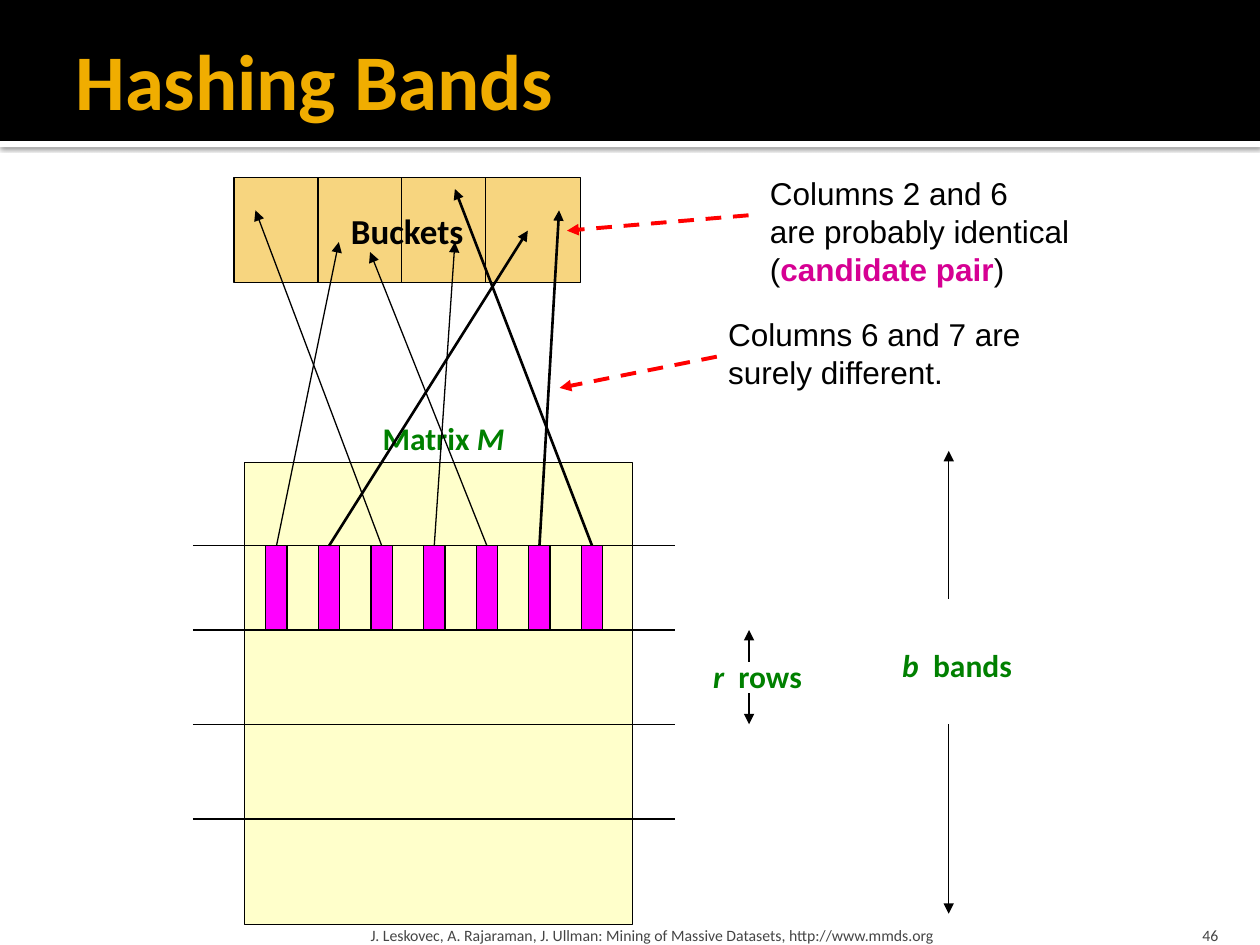
import pptx
import pptx.dml.color
import pptx.enum.dml
import pptx.enum.shapes
import pptx.enum.text
import pptx.oxml
import pptx.oxml.ns
import pptx.util

Cm, Pt = pptx.util.Cm, pptx.util.Pt
ALIGN = pptx.enum.text.PP_ALIGN
ANCHOR = pptx.enum.text.MSO_ANCHOR
BLACK, WHITE, GOLD, GREEN = "000000", "FFFFFF", "F0AD00", "008000"
PINK, RED, ROSE, GREY = "FF00FF", "FF0000", "D60093", "454545"
CREAM = "FFFF99"


def color(code):
    return pptx.dml.color.RGBColor.from_string(code)


def node(text):
    """Parse one DrawingML element."""
    head, rest = text.split(" ", 1)
    return pptx.oxml.parse_xml(f"{head} {pptx.oxml.ns.nsdecls('a')} {rest}")


def style(run, code, bold=False, italic=False):
    run.font.color.rgb = color(code)
    run.font.bold, run.font.italic = bold, italic


def write(frame, lines, size, font="Calibri", align=ALIGN.LEFT, pitch=None):
    """Fill a frame; each line is a list of (text, colour, bold, italic) runs."""
    for i, line in enumerate(lines):
        para = frame.add_paragraph() if i else frame.paragraphs[0]
        para.alignment = align
        if pitch:
            para.line_spacing = Pt(pitch)
        for text, *look in line:
            run = para.add_run()
            run.text = text
            run.font.size, run.font.name = Pt(size), font
            style(run, *look)


def inset(frame, left, top, right, bottom):
    frame.margin_left, frame.margin_top = Cm(left), Cm(top)
    frame.margin_right, frame.margin_bottom = Cm(right), Cm(bottom)


def label(slide, box, lines, size, wrap=False, **look):
    frame = slide.shapes.add_textbox(*map(Cm, box)).text_frame
    frame.word_wrap = wrap
    write(frame, lines, size, **look)
    return frame


def block(slide, box, code, alpha=None, edge=True):
    kind = pptx.enum.shapes.MSO_SHAPE.RECTANGLE
    rect = slide.shapes.add_shape(kind, *map(Cm, box))
    rect.shadow.inherit = False
    rect.fill.solid()
    rect.fill.fore_color.rgb = color(code)
    if alpha:
        fill = rect.element.spPr.find(".//" + pptx.oxml.ns.qn("a:srgbClr"))
        fill.append(node(f'<a:alpha val="{alpha * 1000}"/>'))
    if edge:
        rect.line.color.rgb = color(BLACK)
        rect.line.width = Pt(0.75)
    else:
        rect.line.fill.background()
    return rect


def stroke(slide, start, end, width=0.75, code=BLACK, head=False, dash=False):
    kind = pptx.enum.shapes.MSO_CONNECTOR.STRAIGHT
    line = slide.shapes.add_connector(kind, *map(Cm, (*start, *end)))
    line.line.color.rgb = color(code)
    line.line.width = Pt(width)
    if dash:
        line.line.dash_style = pptx.enum.dml.MSO_LINE.DASH
    props = line.element.spPr
    if head:
        props.get_or_add_ln().append(node('<a:tailEnd type="triangle"/>'))
    props.append(node("<a:effectLst />"))
    return line


def header(slide, box, text):
    left, top, width, height = box
    strip = block(slide, (left, top + height, width, 0.13), WHITE, edge=False)
    effect = strip.element.spPr.find(pptx.oxml.ns.qn("a:effectLst"))
    effect.append(node(
        '<a:outerShdw blurRad="31750" dist="10160" dir="5400000">'
        '<a:srgbClr val="000000"><a:alpha val="60000"/></a:srgbClr>'
        '</a:outerShdw>'))
    block(slide, box, BLACK, edge=False)
    title = slide.shapes.title
    title.left, title.top = Cm(left + 1.27), Cm(top + 0.43)
    title.width, title.height = Cm(width - 2.54), Cm(2.34)
    title.element.getparent().append(title.element)  # in front of the band
    frame = title.text_frame
    frame.auto_size = pptx.enum.text.MSO_AUTO_SIZE.NONE
    frame.vertical_anchor = ANCHOR.MIDDLE
    inset(frame, 0.25, 0.13, 0.13, 0.13)
    write(frame, [[(text, GOLD, True)]], 45)


def matrix(slide, box):
    """Draw the matrix and return its seven column bars."""
    left, top, width, height = box
    block(slide, box, CREAM, 50)
    label(slide, (left + 2.51, top - 0.99, 3, 1.02),
          [[("Matrix ", GREEN, True), ("M", GREEN, True, True)]], 18,
          align=ALIGN.CENTER)
    for y in (1.68, 3.38, 5.28, 7.19):
        stroke(slide, (left - 1.04, top + y), (left + width + 0.86, top + y))
    return [block(slide, (left + 0.43 + 1.06 * i, top + 1.68, 0.43, 1.7), PINK)
            for i in range(7)]


def buckets(slide, box):
    left, top, width, height = box
    frame = block(slide, box, GOLD, 50).text_frame
    frame.word_wrap = False
    frame.vertical_anchor = ANCHOR.MIDDLE
    write(frame, [[("Buckets", BLACK, True)]], 20, align=ALIGN.CENTER)
    for i in range(1, 4):
        x = left + 1.69 * i
        stroke(slide, (x, top), (x, top + height))


def hashes(slide, box, bars):
    """Lead each bar to its spot in the bucket box."""
    spots = [(2.11, 1.3), (5.92, 1.07), (0.43, 0.66), (4.45, 1.3),
             (2.74, 1.5), (6.55, 0.66), (4.45, 0.23)]
    heavy = (1, 5, 6)
    for i, (bar, (x, y)) in enumerate(zip(bars, spots)):
        end = (box[0] + x, box[1] + y)
        line = stroke(slide, end, end, 1.5 if i in heavy else 0.75, head=True)
        line.begin_connect(bar, 0)


def span(slide, box, upper, middle, lower, letter, word):
    """Mark a height with a label between two outward arrows."""
    left, top, width, height = box
    x = left + width / 2 - 0.17
    stroke(slide, (x, top + upper), (x, top), head=True)
    stroke(slide, (x, top + lower), (x, top + height), head=True)
    label(slide, (left, top + middle, width, 1.02),
          [[(letter + " ", GREEN, True, True), (" " + word, GREEN, True)]], 18,
          align=ALIGN.CENTER)


def note(slide, box, lines, start, end):
    left, top = box[:2]
    label(slide, box, lines, 18, font="Arial", pitch=21.8)
    stroke(slide, (left + start[0], top + start[1]),
           (left + end[0], top + end[1]), 2.25, RED, head=True, dash=True)


def footer(slide, box, source, number):
    left, top, width, height = box
    parts = [(left, 15.29, source, ALIGN.LEFT, 0.13),
             (left + width - 2.03, 2.03, number, ALIGN.RIGHT, 0.25)]
    for x, wide, text, align, side in parts:
        frame = label(slide, (x, top, wide, height), [[(text, GREY)]], 9,
                      wrap=True, align=align)
        frame.vertical_anchor = ANCHOR.BOTTOM
        inset(frame, side, 0.13, side, 0)


def main():
    deck = pptx.Presentation()
    deck.slide_width, deck.slide_height = Cm(25.4), Cm(19.05)
    slide = deck.slides.add_slide(deck.slide_layouts[5])
    header(slide, (0, 0, 25.4, 2.84), "Hashing Bands")
    bars = matrix(slide, (4.93, 9.32, 7.82, 9.32))
    span(slide, (14.1, 12.7, 2.34, 1.9), 0.64, 0.43, 1.27, "r", "rows")
    span(slide, (17.91, 9.09, 2.77, 9.33), 2.98, 3.81, 5.51, "b", "bands")
    bins = (4.72, 3.58, 6.98, 2.12)
    buckets(slide, bins)
    hashes(slide, bins, bars)
    note(slide, (15.27, 3.38, 6.76, 2.54),
         [[("Columns 2 and 6", BLACK)], [("are probably identical", BLACK)],
          [("(", BLACK), ("candidate pair", ROSE, True), (")", BLACK)]],
         (-0.18, 0.96), (-3.84, 1.27))
    note(slide, (14.43, 6.22, 6.45, 1.8),
         [[("Columns 6 and 7 are", BLACK)], [("surely different.", BLACK)]],
         (0.02, 0.97), (-3.15, 1.6))
    footer(slide, (7.34, 18.29, 17.47, 0.76),
           "J. Leskovec, A. Rajaraman, J. Ullman: Mining of Massive Datasets, "
           "http://www.mmds.org", "46")
    deck.save("out.pptx")


if __name__ == "__main__":
    main()
